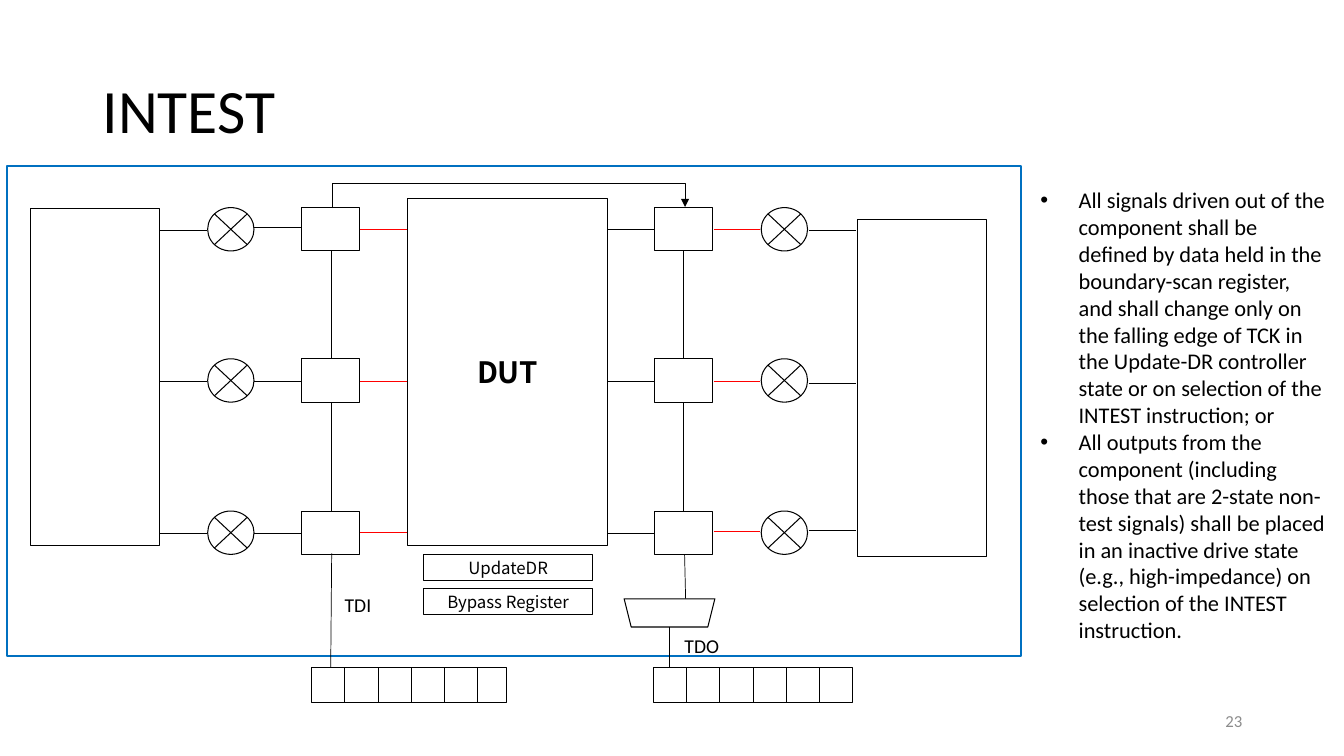
from lxml import etree
from pptx import Presentation
from pptx.dml.color import RGBColor
from pptx.enum import shapes, text
from pptx.oxml.ns import qn
from pptx.util import Inches, Pt

BLACK, RED, BLUE, GREY = "000000", "FF0000", "0070C0", "8C8C8C"
SANS, CJK = "Calibri", "Noto Sans CJK SC"
KIND, ALIGN = shapes.MSO_SHAPE, text.PP_ALIGN
MIDDLE, TOP = text.MSO_ANCHOR.MIDDLE, text.MSO_ANCHOR.TOP

RULES = [
    "All signals driven out of the component shall be defined by data held in the "
    "boundary-scan register, and shall change only on the falling edge of TCK in the "
    "Update-DR controller state or on selection of the INTEST instruction; or",
    "All outputs from the component (including those that are 2-state non-test signals) "
    "shall be placed in an inactive drive state (e.g., high-impedance) on selection of "
    "the INTEST instruction.",
]
# text, (left, top, width, height), size, colour, alignment, anchor
LABELS = [
    ("INTEST", (0.92, 0.4, 11.5, 1.45), 44, BLACK, ALIGN.LEFT, MIDDLE),
    ("23", (9.42, 6.95, 3, 0.4), 12, GREY, ALIGN.RIGHT, MIDDLE),
    ("TDI", (3.32, 5.83, 0.58, 0.34), 14, BLACK, ALIGN.LEFT, TOP),
    ("TDO", (6.69, 6.24, 0.58, 0.34), 14, BLACK, ALIGN.LEFT, TOP),
]
# text, (left, top, width, height), size, bold
BLOCKS = [
    ("DUT", (4.04, 1.97, 1.99, 3.44), 21, True),
    ("UpdateDR", (4.2, 5.5, 1.68, 0.26), 12, False),
    ("Bypass Register", (4.2, 5.84, 1.68, 0.26), 12, False),
]
OUTER_BLOCKS = [(0.3, 2.07, 1.28, 3.34), (8.5, 2.18, 1.28, 3.34)]
ROW_TOPS = [2.06, 3.56, 5.07]
CELL_COLUMNS = [2.99, 6.49]
JUNCTION_COLUMNS = [2.06, 7.55]
CELL_W, JUNCTION_W, PART_H = 0.58, 0.46, 0.43
# from x, to x, the height in each row, colour
WIRES = [
    (1.58, 2.05, (2.29, 3.78, 5.29), BLACK),
    (2.52, 2.99, (2.26, 3.78, 5.29), BLACK),
    (3.57, 4.04, (2.28, 3.78, 5.28), RED),
    (6.03, 6.49, (2.28, 3.78, 5.29), BLACK),
    (7.08, 7.54, (2.28, 3.78, 5.27), RED),
    (8.02, 8.49, (2.29, 3.8, 5.26), BLACK),
]
SCAN_COLUMNS = [3.29, 6.78]
SCAN_LINKS = [(3.29, 5.49, 3.28, 6.62), (6.79, 5.5, 6.8, 5.94), (6.64, 6.22, 6.64, 6.62)]
# left, top, width of the last bit
REGISTERS = [(3.09, 6.62, 0.28), (6.48, 6.62, 0.33)]
BITS, BIT_STEP, BIT_W, BIT_H = 6, 0.33, 0.33, 0.35

deck = Presentation()
deck.slide_width, deck.slide_height = Inches(13.33), Inches(7.5)
page = deck.slides.add_slide(deck.slide_layouts[6])


def rgb(value):
    return RGBColor.from_string(value)


def add_outline(kind, place, color=BLACK, width=0.75):
    """Draw an unfilled preset shape."""
    shape = page.shapes.add_shape(kind, *map(Inches, place))
    shape.shadow.inherit = False
    shape.fill.background()
    shape.line.color.rgb = rgb(color)
    shape.line.width = Pt(width)
    return shape


def add_wire(ends, color=BLACK, kind=shapes.MSO_CONNECTOR.STRAIGHT):
    wire = page.shapes.add_connector(kind, *map(Inches, ends))
    wire.line.color.rgb = rgb(color)
    wire.line.width = Pt(0.5)
    etree.SubElement(wire._element.spPr, qn("a:effectLst"))
    return wire


def add_span(para, words, size, color=BLACK, font=SANS, bold=False):
    span = para.add_run()
    span.text = words
    span.font.size, span.font.name, span.font.bold = Pt(size), font, bold
    span.font.color.rgb = rgb(color)


def add_textbox(place, anchor=TOP):
    frame = page.shapes.add_textbox(*map(Inches, place)).text_frame
    frame.word_wrap = True
    frame.vertical_anchor = anchor
    return frame


def add_bullet(para):
    props = para._p.get_or_add_pPr()
    props.set("marL", str(Inches(0.38)))
    props.set("indent", str(Inches(-0.38)))
    etree.SubElement(props, qn("a:buFont"), typeface="Arial")
    etree.SubElement(props, qn("a:buChar"), char="•")


def add_bypass_arrow():
    """Run an elbow arrow over the DUT, from the first input cell to the first output cell."""
    arrow = add_wire((5.05, 3.81, 5.04, 0.31), kind=shapes.MSO_CONNECTOR.ELBOW)
    props = arrow._element.spPr
    props.find(qn("a:xfrm")).set("rot", str(90 * 60000))
    guides = props.find(qn("a:prstGeom")).find(qn("a:avLst"))
    etree.SubElement(guides, qn("a:gd"), name="adj1", fmla="val 2450000")
    etree.SubElement(props.find(qn("a:ln")), qn("a:tailEnd"), type="triangle")


for words, place, size, color, align, anchor in LABELS:
    para = add_textbox(place, anchor).paragraphs[0]
    para.alignment = align
    para.line_spacing = 0.9 if size == 44 else 1.0
    add_span(para, words, size, color)

add_outline(KIND.RECTANGLE, (0.07, 1.65, 10.06, 4.86), BLUE, 1.5)
for place in OUTER_BLOCKS:
    add_outline(KIND.RECTANGLE, place)
for words, place, size, bold in BLOCKS:
    frame = add_outline(KIND.RECTANGLE, place).text_frame
    frame.word_wrap = False
    frame.vertical_anchor = MIDDLE
    frame.margin_left = frame.margin_right = Inches(0.03)
    frame.margin_top = frame.margin_bottom = Inches(0.02)
    frame.paragraphs[0].alignment = ALIGN.CENTER
    add_span(frame.paragraphs[0], words, size, font=CJK, bold=bold)

for top in ROW_TOPS:
    for left in CELL_COLUMNS:
        add_outline(KIND.RECTANGLE, (left, top, CELL_W, PART_H))
    for left in JUNCTION_COLUMNS:
        add_outline(KIND.FLOWCHART_SUMMING_JUNCTION, (left, top, JUNCTION_W, PART_H))
for start, end, heights, color in WIRES:
    for y in heights:
        add_wire((start, y, end, y), color)

for x in SCAN_COLUMNS:
    for upper, lower in zip(ROW_TOPS, ROW_TOPS[1:]):
        add_wire((x, upper + PART_H, x, lower))
for ends in SCAN_LINKS:
    add_wire(ends)
add_bypass_arrow()
add_outline(KIND.TRAPEZOID, (6.19, 5.94, 0.9, 0.28)).rotation = 180

for left, top, last_width in REGISTERS:
    for bit in range(BITS):
        width = last_width if bit == BITS - 1 else BIT_W
        add_outline(KIND.RECTANGLE, (left + bit * BIT_STEP, top, width, BIT_H))

frame = add_textbox((10.22, 1.8, 3.04, 4.95))
for index, rule in enumerate(RULES):
    para = frame.add_paragraph() if index else frame.paragraphs[0]
    add_bullet(para)
    add_span(para, rule, 16)

deck.save("out.pptx")
